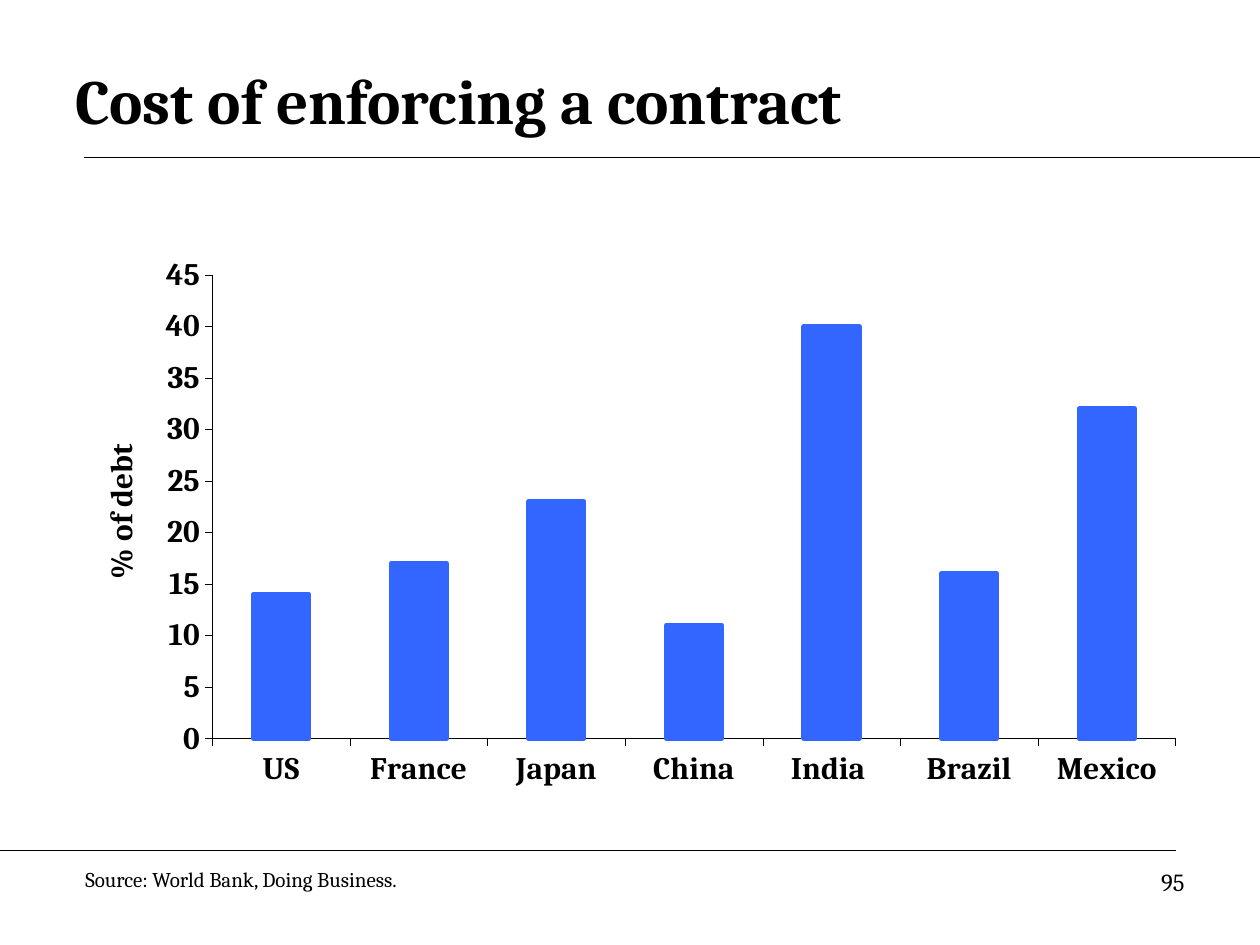
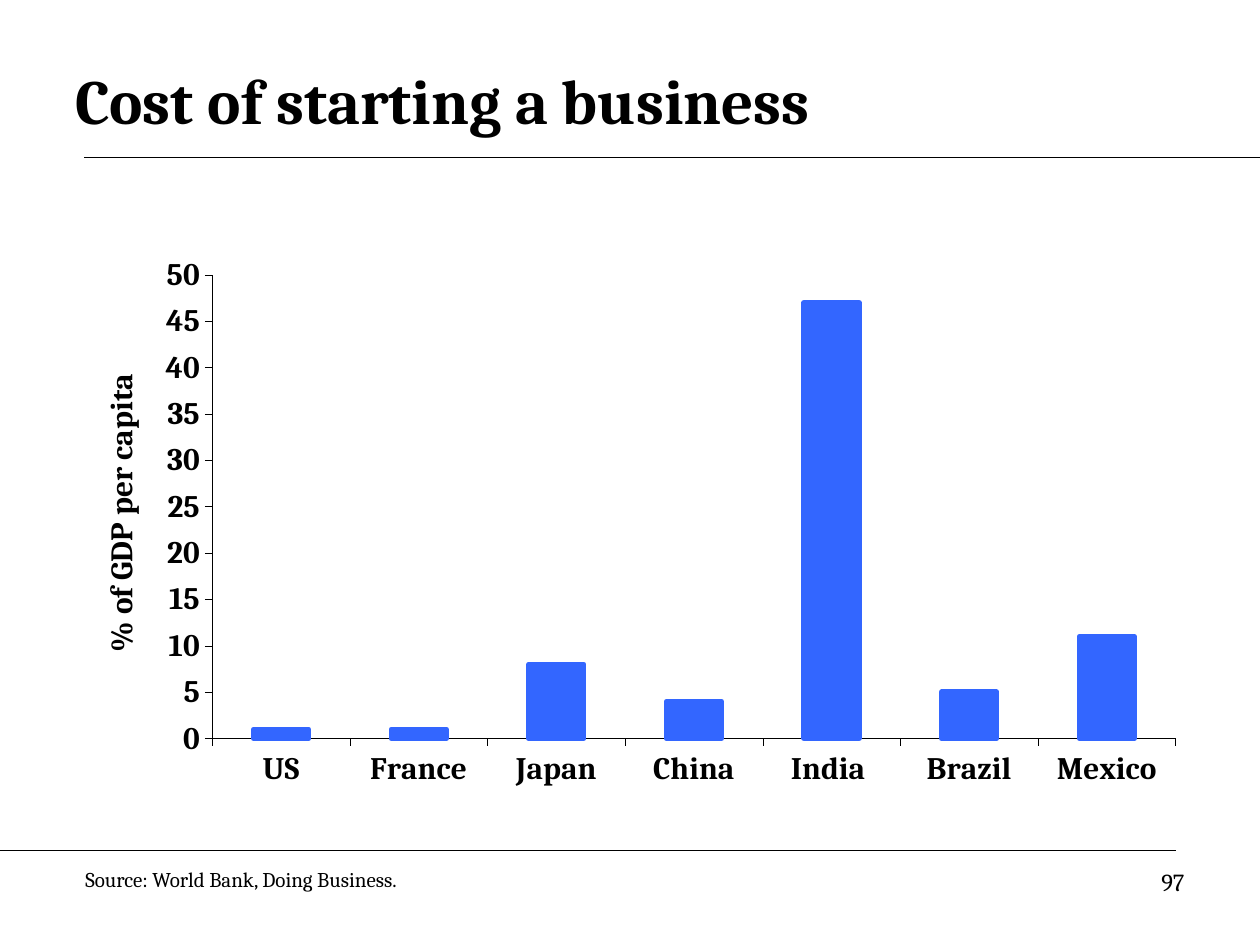
from lxml import etree
from pptx import Presentation
from pptx.chart.data import CategoryChartData
from pptx.dml.color import RGBColor
from pptx.enum.chart import XL_CHART_TYPE as ChartType, XL_TICK_MARK as Tick
from pptx.enum.shapes import MSO_CONNECTOR as Connector
from pptx.enum.text import MSO_ANCHOR as Anchor, PP_ALIGN as Align
from pptx.oxml import parse_xml
from pptx.oxml.ns import nsdecls, qn
from pptx.util import Inches, Pt

COLORS = {"ink": "000000", "bar": "3366FF"}
FONT = "Cambria"
AXIS_SIZE = 17.9
COUNTRIES = ["US", "France", "Japan", "China", "India ", "Brazil", "Mexico"]
SOURCE = "Source: World Bank, Doing Business."

TITLE_BOX = (0.5, 0.33, 9, 0.92)
CHART_BOX = (0.56, 1.81, 8.86, 4.83)
FOOTER_BOX = (0, 6.75, 10, 0.75)
PLOT_AREA = {"x": 0.127, "y": 0.077, "w": 0.863, "h": 0.762}

PAGES = [
    {"title": "Cost of enforcing a contract", "unit": "% of debt", "number": 95,
     "top": 45, "unit_y": 0.345, "costs": [14, 17, 23, 11, 40, 16, 32]},
    {"title": "Cost of starting a business", "unit": "% of GDP per capita", "number": 97,
     "top": 50, "unit_y": 0.23, "costs": [1, 1, 8, 4, 47, 5, 11]},
]


def color(name):
    return RGBColor.from_string(COLORS[name])


def style_font(font, size, bold=False):
    font.name = FONT
    font.size = Pt(size)
    font.bold = bold
    font.color.rgb = color("ink")


def add_text(page, text, box, size=12, bold=False, align=Align.LEFT, anchor=Anchor.TOP):
    frame = page.shapes.add_textbox(*map(Inches, box)).text_frame
    frame.word_wrap = True
    frame.vertical_anchor = anchor
    para = frame.paragraphs[0]
    para.alignment = align
    span = para.add_run()
    span.text = text
    style_font(span.font, size, bold)


def add_rule(page, left, right, y):
    rule = page.shapes.add_connector(
        Connector.STRAIGHT, Inches(left), Inches(y), Inches(right), Inches(y))
    rule.line.color.rgb = color("ink")
    rule.line.width = Pt(0.75)
    etree.SubElement(rule._element.spPr, qn("a:effectLst"))


def add_header(page, title, box):
    left, top, width, height = box
    add_text(page, title, box, size=36, bold=True, anchor=Anchor.MIDDLE)
    add_rule(page, left + 0.17, 10, top + height)


def add_footer(page, number, box):
    left, top, width, height = box
    add_rule(page, left, left + width - 0.67, top)
    add_text(page, SOURCE, (left + 0.58, top + 0.08, 4.83, 0.3))
    add_text(page, str(number), (left + width - 2.83, top + 0.08, 2.33, 0.52),
             size=14, align=Align.RIGHT)


def manual_layout(places, inner=False):
    target = '<c:layoutTarget val="inner"/>' if inner else ""
    modes = "".join(f'<c:{key}Mode val="edge"/>' for key in places if key in "xy")
    values = "".join(f'<c:{key} val="{value}"/>' for key, value in places.items())
    return parse_xml(f'<c:layout {nsdecls("c")}><c:manualLayout>{target}{modes}{values}'
                     '</c:manualLayout></c:layout>')


def place_plot(chart):
    plot_area = chart._chartSpace.chart.plotArea
    for layout in plot_area.findall(qn("c:layout")):
        plot_area.remove(layout)
    plot_area.insert(0, manual_layout(PLOT_AREA, inner=True))


def add_unit_title(axis, text, y):
    frame = axis.axis_title.text_frame
    frame.text = text
    style_font(frame.paragraphs[0].runs[0].font, AXIS_SIZE, True)
    body = frame._txBody.find(qn("a:bodyPr"))
    body.set("rot", "-5400000")
    body.set("vert", "horz")
    title = axis.axis_title._element
    for layout in title.findall(qn("c:layout")):
        title.remove(layout)
    title.find(qn("c:tx")).addnext(manual_layout({"x": 0.021, "y": y}))


def style_axis(axis):
    axis.has_major_gridlines = False
    axis.major_tick_mark = Tick.OUTSIDE
    axis.minor_tick_mark = Tick.NONE
    axis.format.line.color.rgb = color("ink")
    axis.format.line.width = Pt(0.25)
    style_font(axis.tick_labels.font, AXIS_SIZE, True)


def add_cost_chart(page, content, box):
    data = CategoryChartData()
    data.categories = COUNTRIES
    data.add_series("Series 1", content["costs"])
    chart = page.shapes.add_chart(
        ChartType.COLUMN_CLUSTERED, *map(Inches, box), data).chart
    chart.has_legend = False
    chart.has_title = False
    style_font(chart.font, AXIS_SIZE, True)
    style_axis(chart.category_axis)
    style_axis(chart.value_axis)
    chart.value_axis.minimum_scale = 0
    chart.value_axis.maximum_scale = content["top"]
    chart.value_axis.major_unit = 5
    add_unit_title(chart.value_axis, content["unit"], content["unit_y"])
    place_plot(chart)

    plot = chart.plots[0]
    plot.gap_width = 150
    plot.vary_by_categories = False
    bars = plot.series[0].format
    bars.fill.solid()
    bars.fill.fore_color.rgb = color("bar")
    bars.line.color.rgb = color("bar")
    bars.line.width = Pt(3)


def add_cost_page(deck, content):
    page = deck.slides.add_slide(deck.slide_layouts[6])
    add_header(page, content["title"], TITLE_BOX)
    add_cost_chart(page, content, CHART_BOX)
    add_footer(page, content["number"], FOOTER_BOX)


def main():
    deck = Presentation()
    deck.slide_width = Inches(10)
    deck.slide_height = Inches(7.5)
    for content in PAGES:
        add_cost_page(deck, content)
    deck.save("out.pptx")


if __name__ == "__main__":
    main()
